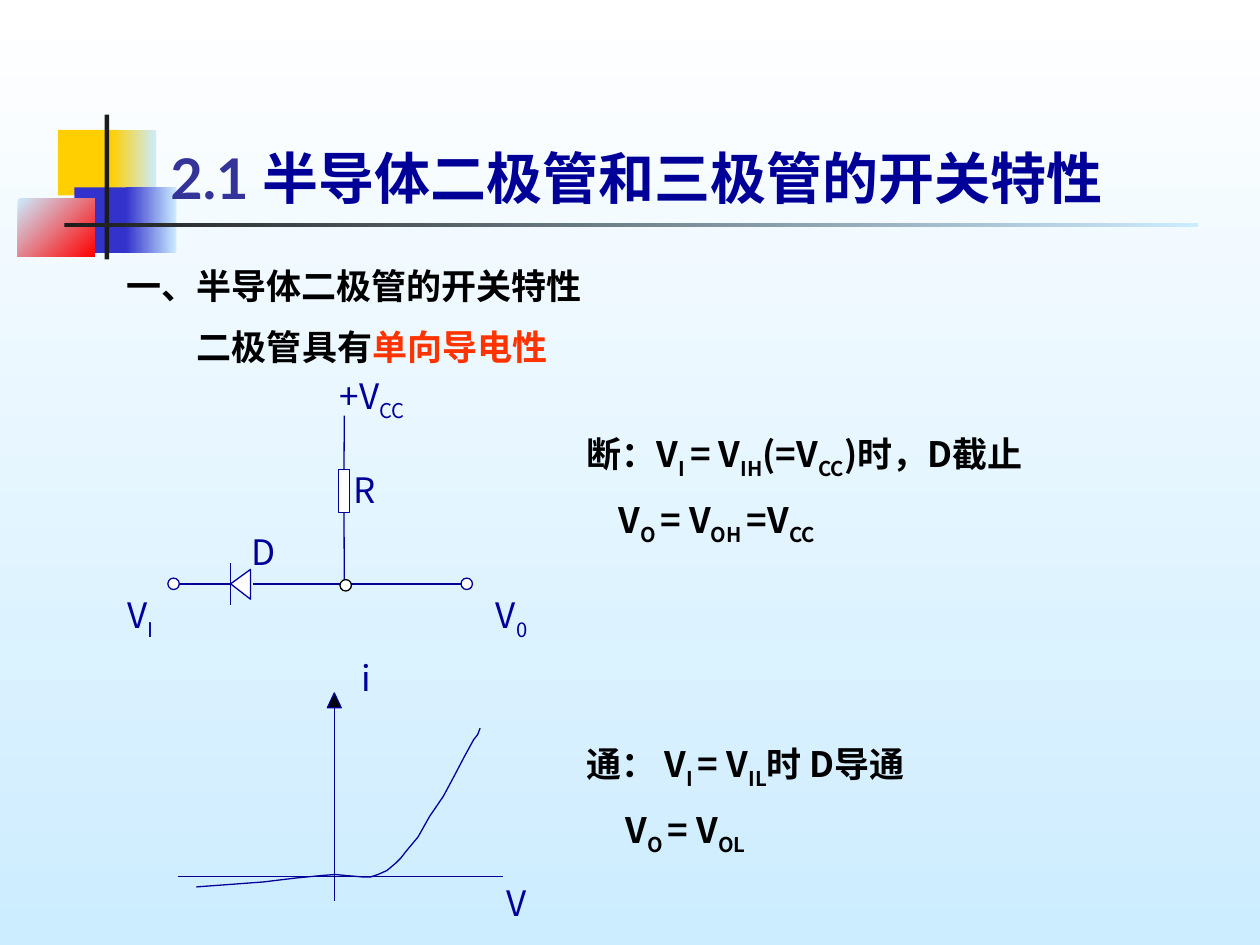
from dataclasses import dataclass

from lxml import etree
from pptx import Presentation
from pptx import util as u
from pptx.dml.color import RGBColor
from pptx.enum import shapes, text
from pptx.oxml.ns import qn


@dataclass(frozen=True)
class Theme:
    ink: str = "000099"
    number: str = "333399"
    black: str = "000000"
    accent: str = "FF3300"
    white: str = "FFFFFF"
    sky: str = "CCECFF"
    yellow: str = "FFCF01"
    blue: str = "3333CC"
    red: str = "FF0000"
    dark: str = "1C1C1C"
    title_size: int = 32
    body_size: int = 20
    line_width: float = 0.75
    latin: str = "Lato"
    cjk: str = "Noto Sans CJK SC"


THEME = Theme()
RECTANGLE = shapes.MSO_SHAPE.RECTANGLE
WIRE_Y = 11.77
DIODE_X = 4.65
DOT = 0.23

CURVE = [
    (3.96, 17.88), (4.65, 17.83), (5.31, 17.78), (5.97, 17.7), (6.5, 17.65),
    (6.76, 17.63), (6.96, 17.65), (7.32, 17.68), (7.47, 17.68), (7.62, 17.63),
    (7.8, 17.55), (7.98, 17.4), (8.08, 17.3), (8.18, 17.17), (8.43, 16.87),
    (8.66, 16.46), (8.94, 16.05), (9.17, 15.62), (9.37, 15.24), (9.55, 14.91),
    (9.63, 14.81), (9.68, 14.68),
]


def rgb(color):
    return RGBColor.from_string(color)


def paint(fill, color, end_color=None, angle=0):
    """Fill plainly, or with a gradient whose angle runs clockwise."""
    if end_color is None:
        fill.solid()
        fill.fore_color.rgb = rgb(color)
        return
    fill.gradient()
    fill.gradient_angle = -angle % 360
    for stop, stop_color in zip(fill.gradient_stops, (color, end_color)):
        stop.color.rgb = rgb(stop_color)


def outline(shape, color):
    shape.line.color.rgb = rgb(color)
    shape.line.width = u.Pt(THEME.line_width)


def add_block(slide, box, *colors, kind=RECTANGLE, angle=0, line=None):
    shape = slide.shapes.add_shape(kind, *map(u.Cm, box))
    shape.shadow.inherit = False
    paint(shape.fill, *colors, angle=angle)
    if line:
        outline(shape, line)
    else:
        shape.line.fill.background()
    return shape


def add_dot(slide, x, y, line=THEME.ink):
    box = (x - DOT / 2, y - DOT / 2, DOT, DOT)
    add_block(slide, box, THEME.white, kind=shapes.MSO_SHAPE.OVAL, line=line)


def add_wire(slide, start, end):
    wire = slide.shapes.add_connector(
        shapes.MSO_CONNECTOR.STRAIGHT, *map(u.Cm, start + end))
    outline(wire, THEME.ink)
    etree.SubElement(wire.element.spPr, qn("a:effectLst"))
    return wire


def add_outline(slide, points, fill=None):
    """Draw an open line, or a closed outline when a fill is given."""
    points = [(u.Cm(x), u.Cm(y)) for x, y in points]
    builder = slide.shapes.build_freeform(*points[0])
    builder.add_line_segments(points[1:], close=fill is not None)
    shape = builder.convert_to_shape()
    shape.shadow.inherit = False
    if fill:
        paint(shape.fill, fill)
    else:
        shape.fill.background()
    outline(shape, THEME.ink)


def write(paragraph, content, color=THEME.ink, size=THEME.body_size,
          font=THEME.cjk, bold=False):
    """Add runs; every second part between bars is a subscript."""
    for index, part in enumerate(content.split("|")):
        run = paragraph.add_run()
        run.text = part
        run.font.size = u.Pt(size)
        run.font.bold = bold
        run.font.color.rgb = rgb(color)
        run.font.name = font
        properties = run._r.get_or_add_rPr()
        etree.SubElement(properties, qn("a:ea")).set("typeface", THEME.cjk)
        if index % 2:
            properties.set("baseline", "-25000")


def add_text(slide, box, wrap=False, align=text.PP_ALIGN.CENTER):
    frame = slide.shapes.add_textbox(*map(u.Cm, box)).text_frame
    frame.word_wrap = wrap
    frame.paragraphs[0].alignment = align
    return frame


def add_case(slide, top, condition, result, indent):
    """State of the diode: its condition and, indented, its output."""
    frame = add_text(slide, (11.58, top, 12.9, 2.8), wrap=True,
                     align=text.PP_ALIGN.LEFT)
    first, second = frame.paragraphs[0], frame.add_paragraph()
    second.space_before = u.Pt(5)
    second._p.get_or_add_pPr().set("marL", str(u.Cm(indent)))
    for paragraph, content in ((first, condition), (second, result)):
        paragraph.line_spacing = 1.2
        write(paragraph, content, color=THEME.black, bold=True)


def draw_decoration(slide):
    paint(slide.background.fill, THEME.white, THEME.sky, angle=90)
    add_block(slide, (1.17, 2.62, 1.22, 1.32), THEME.yellow)
    add_block(slide, (2.24, 2.62, 0.91, 1.32), THEME.yellow, THEME.sky)
    add_block(slide, (1.5, 3.78, 1.17, 1.32), THEME.blue)
    add_block(slide, (2.54, 3.78, 1.02, 1.32), THEME.blue, THEME.sky)
    add_block(slide, (0.36, 4.01, 1.55, 1.17), THEME.sky, THEME.red, angle=45)
    add_block(slide, (2.11, 2.31, 0.09, 2.92), THEME.dark)
    add_block(slide, (1.3, 4.5, 22.86, 0.08), THEME.dark, THEME.sky)


def write_title(slide):
    title = slide.shapes.title
    title.left, title.top, title.width, title.height = map(
        u.Cm, (3.18, 2.34, 20.02, 2.03))
    frame = title.text_frame
    frame.auto_size = text.MSO_AUTO_SIZE.NONE
    frame.vertical_anchor = text.MSO_ANCHOR.BOTTOM
    paragraph = frame.paragraphs[0]
    paragraph.alignment = text.PP_ALIGN.LEFT
    write(paragraph, "2.1 ", color=THEME.number, size=THEME.title_size,
          font=THEME.latin, bold=True)
    write(paragraph, "半导体二极管和三极管的开关特性",
          size=THEME.title_size, bold=True)
    # Bring the title in front of the decoration
    slide.shapes.element.append(title.element)


def write_body(slide):
    bold_black = dict(color=THEME.black, font=THEME.latin, bold=True)
    heading = add_text(slide, (2.29, 5.21, 9.7, 1.12))
    write(heading.paragraphs[0], "一、半导体二极管的开关特性", **bold_black)
    property_line = add_text(slide, (3.68, 6.43, 7.65, 1.12), wrap=True)
    write(property_line.paragraphs[0], "二极管具有", **bold_black)
    write(property_line.paragraphs[0], "单向导电性", color=THEME.accent,
          font=THEME.latin, bold=True)
    add_case(slide, 8.41, "断：V|I |= V|IH|(=V|CC|)时，D截止",
             "V|O |= V|OH |=V|CC", indent=0.64)
    add_case(slide, 14.66, "通： V|I |= V|IL|时 D导通",
             "V|O |= V|OL", indent=0.79)


def draw_labels(slide):
    labels = {
        "+V|CC": (6.58, 7.42, 1.85, 1.22),
        "R": (6.88, 9.32, 0.94, 1.12),
        "D": (4.67, 10.57, 1.27, 1.12),
        "V|I": (2.29, 11.84, 1.07, 1.22),
        "V|0": (9.73, 11.84, 1.17, 1.22),
        "i": (7.04, 13.11, 0.69, 1.12),
        "V": (9.96, 17.65, 0.91, 1.12),
    }
    for content, box in labels.items():
        write(add_text(slide, box).paragraphs[0], content)


def draw_circuit(slide):
    # Input wire, diode and output wire
    add_wire(slide, (3.58, WIRE_Y), (DIODE_X, WIRE_Y))
    add_wire(slide, (DIODE_X, 11.35), (DIODE_X, 12.19))
    add_outline(slide, [(DIODE_X, WIRE_Y), (5.05, 12.08), (5.05, 11.48)],
                fill=THEME.white)
    add_wire(slide, (5.1, WIRE_Y), (9.32, WIRE_Y))
    # Resistor between supply and node
    resistor = add_block(slide, (6.82, 9.47, 0.23, 0.86), THEME.white,
                         line=THEME.ink)
    add_wire(slide, (6.94, 8.38), (6.94, 9.47)).end_connect(resistor, 0)
    add_wire(slide, (6.94, 10.33), (6.94, WIRE_Y)).begin_connect(resistor, 2)
    # Terminals and node
    add_dot(slide, 3.5, WIRE_Y)
    add_dot(slide, 9.41, WIRE_Y)
    add_dot(slide, 6.97, 11.8, line=THEME.black)


def draw_characteristic(slide):
    add_wire(slide, (3.58, 17.67), (10.13, 17.67))
    add_wire(slide, (6.74, 18.16), (6.74, 14.2))
    add_outline(slide, [(6.88, 14.27), (6.74, 13.97), (6.6, 14.27)],
                fill=THEME.black)
    add_outline(slide, CURVE)


def main():
    presentation = Presentation()
    presentation.slide_width, presentation.slide_height = u.Cm(25.4), u.Cm(19.05)
    slide = presentation.slides.add_slide(presentation.slide_layouts[5])
    draw_decoration(slide)
    write_title(slide)
    write_body(slide)
    draw_circuit(slide)
    draw_characteristic(slide)
    draw_labels(slide)
    presentation.save("out.pptx")


if __name__ == "__main__":
    main()
